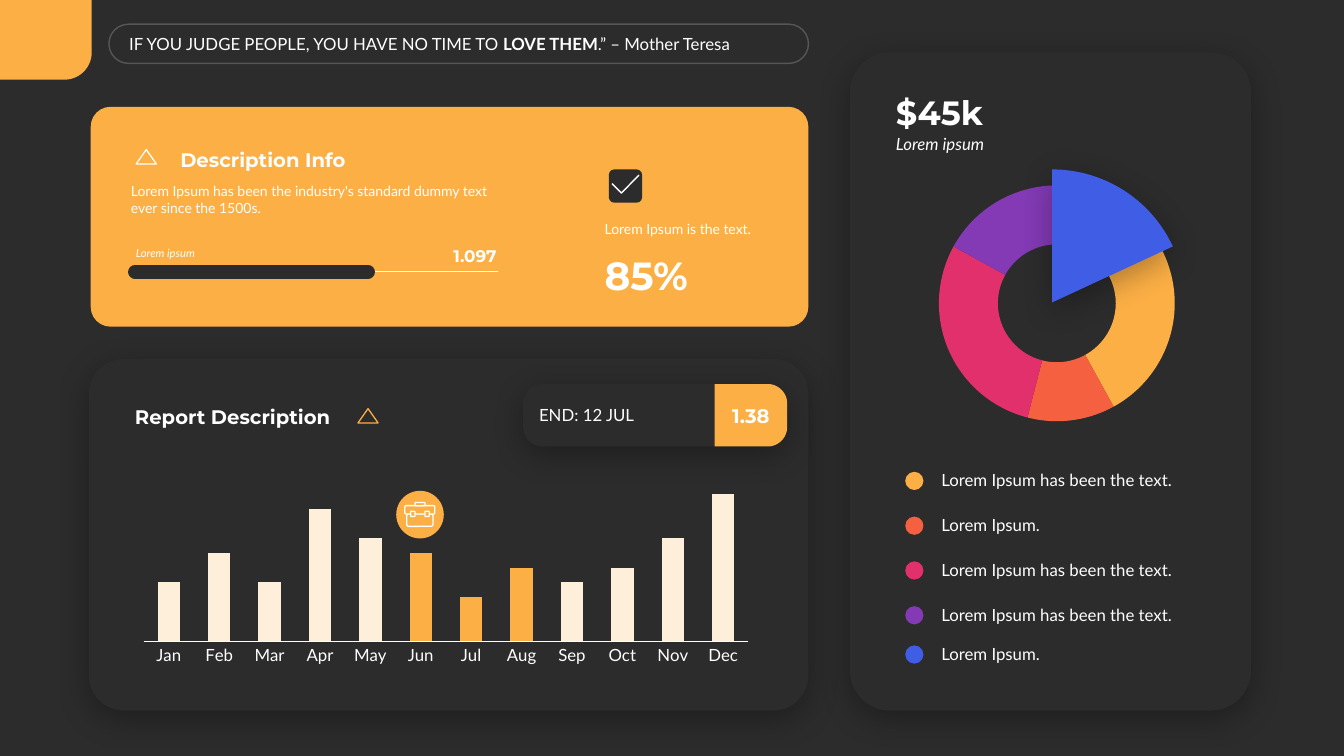
import dataclasses
import math

import pptx
import pptx.chart.data
import pptx.dml.color
import pptx.enum.chart
import pptx.enum.shapes
import pptx.enum.text
import pptx.oxml
import pptx.oxml.ns
import pptx.util

Pt = pptx.util.Pt
Shape = pptx.enum.shapes.MSO_SHAPE
Align = pptx.enum.text.PP_ALIGN
Anchor = pptx.enum.text.MSO_ANCHOR
ChartType = pptx.enum.chart.XL_CHART_TYPE


@dataclasses.dataclass(frozen=True)
class Theme:
    """Colours, fonts and type sizes of the dashboard."""
    dark: str = "2C2C2C"
    white: str = "FFFFFF"
    cream: str = "FEEFDA"
    amber: str = "FCAF45"
    coral: str = "F56040"
    pink: str = "E1306C"
    purple: str = "833AB4"
    blue: str = "405DE6"
    body: str = "Lato"
    display: str = "Montserrat"
    caption: int = 8
    small: int = 10
    normal: int = 12
    heading: int = 14
    money: int = 24
    percent: int = 28


THEME = Theme()


def rgb(colour):
    """Turn a hex string into a colour."""
    return pptx.dml.color.RGBColor.from_string(colour)


def apply_format(target, values):
    """Set each attribute named in values."""
    for name, value in values.items():
        setattr(target, name, value)


def append_xml(parent, markup):
    """Append a drawing element to a parent element."""
    parent.append(pptx.oxml.parse_xml(markup.replace(" ", f" {pptx.oxml.ns.nsdecls('a', 'c')} ", 1)))


def paint(shape, fill=None, line=None, width=1, shadow=False):
    """Give a shape its fill, outline and soft shadow."""
    shape.shadow.inherit = False
    if fill:
        shape.fill.solid()
        shape.fill.fore_color.rgb = rgb(fill)
    else:
        shape.fill.background()
    if line:
        shape.line.color.rgb = rgb(line)
        shape.line.width = Pt(width)
    else:
        shape.line.fill.background()
    if shadow:
        effects = shape._element.spPr.find(pptx.oxml.ns.qn("a:effectLst"))
        append_xml(effects, f'<a:outerShdw blurRad="{Pt(23)}" dist="{Pt(6)}" dir="5400000" algn="t" '
                            'rotWithShape="0"><a:srgbClr val="000000"><a:alpha val="30000"/>'
                            '</a:srgbClr></a:outerShdw>')
    return shape


def add_preset(page, kind, box, adjust=(), **style):
    """Add a preset shape with its adjustments and paint."""
    shape = page.shapes.add_shape(kind, *map(Pt, box))
    for index, value in enumerate(adjust):
        shape.adjustments[index] = value
    return paint(shape, **style)


def add_outline(page, points, closed=True, **style):
    """Add a freeform through the given points."""
    start, *rest = [(Pt(x), Pt(y)) for x, y in points]
    builder = page.shapes.build_freeform(*start, scale=1.0)
    builder.add_line_segments(rest, close=closed)
    return paint(builder.convert_to_shape(), **style)


def add_tab(page, box, top_radius, bottom_radius, fill):
    """Add a block whose right-hand corners are rounded."""
    left, top, width, height = box
    right, bottom = left + width, top + height
    points = [(left, top)]
    for radius, centre_y, start in ((top_radius, top + top_radius, -90),
                                    (bottom_radius, bottom - bottom_radius, 0)):
        for angle in map(math.radians, range(start, start + 91, 6)):
            points.append((right - radius + radius * math.cos(angle),
                           centre_y + radius * math.sin(angle)))
    return add_outline(page, points + [(left, bottom)], fill=fill)


def fill_text(box, spans, size, font=THEME.body, align=Align.LEFT, anchor=Anchor.MIDDLE,
              side=7.2, **style):
    """Write spans of (text, bold) into one paragraph of a box."""
    frame = box.text_frame
    apply_format(frame, {"word_wrap": True, "auto_size": pptx.enum.text.MSO_AUTO_SIZE.NONE,
                         "vertical_anchor": anchor, "margin_left": Pt(side), "margin_right": Pt(side),
                         "margin_top": Pt(3.6), "margin_bottom": Pt(3.6)})
    para = frame.paragraphs[0]
    para.alignment = align
    for text, bold in spans:
        span = para.add_run()
        span.text = text
        apply_format(span.font, {"name": font, "size": Pt(size), "bold": bold, **style})
        span.font.color.rgb = rgb(THEME.white)


def add_text(page, box, text, size, bold=False, **style):
    """Add a text box; bold text uses the display font."""
    font = THEME.display if bold else THEME.body
    fill_text(page.shapes.add_textbox(*map(Pt, box)), [(text, bold)], size, font, **style)


def add_bar(page, left, right, y, colour, width):
    """Add a horizontal line with round ends."""
    line = page.shapes.add_connector(pptx.enum.shapes.MSO_CONNECTOR.STRAIGHT,
                                     Pt(left), Pt(y), Pt(right), Pt(y))
    line.line.color.rgb = rgb(colour)
    line.line.width = Pt(width)
    line.line._get_or_add_ln().set("cap", "rnd")
    append_xml(line._element.spPr, "<a:effectLst />")


def add_plot(page, kind, box, categories, values, colours, inner):
    """Add a one-series chart with a colour for each point."""
    chart_data = pptx.chart.data.CategoryChartData()
    chart_data.categories = categories
    chart_data.add_series("Series 1", values)
    chart = page.shapes.add_chart(kind, *map(Pt, box), chart_data).chart
    apply_format(chart, {"has_legend": False, "has_title": False})
    apply_format(chart.font, {"name": THEME.body, "size": Pt(THEME.normal)})
    chart.font.color.rgb = rgb(THEME.white)
    for index, colour in enumerate(colours):
        point = chart.plots[0].series[0].points[index].format
        point.fill.solid()
        point.fill.fore_color.rgb = rgb(colour)
        point.line.fill.background()
    area = chart._chartSpace.chart.plotArea
    for old in area.findall(pptx.oxml.ns.qn("c:layout")):
        area.remove(old)
    sizes = "".join(f'<c:{name} val="{value}"/>' for name, value in zip("xywh", inner))
    append_xml(area, '<c:layout ><c:manualLayout><c:layoutTarget val="inner"/><c:xMode val="edge"/>'
                     f'<c:yMode val="edge"/>{sizes}</c:manualLayout></c:layout>')
    area.insert(0, area[-1])
    return chart


def add_triangle(page, left, top, colour):
    """Add a small outlined triangle."""
    add_preset(page, Shape.ISOSCELES_TRIANGLE, (left, top, 14.4, 10.2), line=colour, width=0.9)


def add_briefcase(page):
    """Add the briefcase badge over the June column."""
    add_preset(page, Shape.OVAL, (283, 350.6, 34, 34), fill=THEME.amber)
    for box in ((290.5, 367, 18.8, 9), (289.2, 361.2, 21.4, 6), (296.4, 359, 7.2, 2.2),
                (293.4, 365.2, 3, 3.8), (303.6, 365.2, 3, 3.8)):
        add_preset(page, Shape.ROUNDED_RECTANGLE, box, fill=THEME.amber, line=THEME.white, width=0.9)


def add_info_card(page):
    """Add the amber card with progress and percentage."""
    add_preset(page, Shape.ROUNDED_RECTANGLE, (64.8, 76.3, 512.6, 157), (0.09,), fill=THEME.amber)
    add_preset(page, Shape.ROUNDED_RECTANGLE, (434.9, 121, 23.8, 23.8), fill=THEME.dark)
    add_outline(page, [(437.2, 131.2), (443.9, 137.9), (456.4, 125.1)], False, line=THEME.white)
    add_text(page, (424.8, 153.4, 135.4, 19.4), "Lorem Ipsum is the text.", THEME.small, anchor=Anchor.BOTTOM)
    add_text(page, (424.8, 175.7, 135.4, 41), "85%", THEME.percent, True, anchor=Anchor.TOP)
    add_bar(page, 96.5, 355.7, 194.2, THEME.white, 0.5)
    add_bar(page, 96.5, 262.8, 194.2, THEME.dark, 10)
    add_text(page, (90, 172, 138, 17.3), "Lorem ipsum", THEME.caption, anchor=Anchor.BOTTOM, italic=True)
    add_text(page, (311, 172, 46.8, 21.6), "1.097", THEME.normal, True,
             align=Align.RIGHT, anchor=Anchor.BOTTOM, side=3)
    add_text(page, (121.7, 101.5, 251.3, 24.5), "Description Info", THEME.heading, True, anchor=Anchor.BOTTOM)
    add_triangle(page, 97.3, 106.9, THEME.white)
    add_text(page, (86.4, 126.7, 286.6, 31.7), "Lorem Ipsum has been the industry's standard dummy text "
             "ever since the 1500s.", THEME.small, anchor=Anchor.TOP)


def add_report_card(page):
    """Add the monthly report card with its column chart."""
    add_preset(page, Shape.ROUNDED_RECTANGLE, (63.4, 256.3, 514, 251.3), (0.1,), fill=THEME.dark, shadow=True)
    add_preset(page, Shape.ROUNDED_RECTANGLE, (373.7, 274.3, 188, 44.6), (0.31,), fill=THEME.dark, shadow=True)
    add_text(page, (378, 285.8, 136.8, 21.6), "END: 12 JUL", THEME.normal)
    add_tab(page, (510.5, 274.3, 51.8, 44.6), 13.9, 13.9, THEME.amber)
    add_text(page, (510.5, 284.4, 51.8, 24.5), "1.38", THEME.heading, True, align=Align.CENTER, side=3)
    add_text(page, (89.3, 285.1, 253.4, 24.5), "Report Description", THEME.heading, True)
    months = "Jan Feb Mar Apr May Jun Jul Aug Sep Oct Nov Dec".split()
    colours = [THEME.amber if month in ("Jun", "Jul", "Aug") else THEME.cream for month in months]
    chart = add_plot(page, ChartType.COLUMN_CLUSTERED, (93.6, 329, 450, 148.3), months,
                     (40, 60, 40, 90, 70, 60, 30, 50, 40, 50, 70, 100), colours, (0.02, 0.02, 0.96, 0.85))
    apply_format(chart.plots[0], {"gap_width": 125, "overlap": -27, "vary_by_categories": False})
    apply_format(chart.value_axis, {"visible": False, "has_major_gridlines": False,
                                    "minimum_scale": 0, "maximum_scale": 120})
    chart.category_axis.major_tick_mark = pptx.enum.chart.XL_TICK_MARK.NONE
    chart.category_axis.format.line.color.rgb = rgb(THEME.white)
    chart.category_axis.format.line.width = Pt(0.75)
    add_triangle(page, 255.7, 291.9, THEME.amber)
    add_briefcase(page)


def add_share_card(page):
    """Add the card with the doughnut and its key."""
    add_preset(page, Shape.ROUNDED_RECTANGLE, (607, 37.4, 286.6, 470.2), (0.1,), fill=THEME.dark, shadow=True)
    add_text(page, (632.9, 92.2, 239, 21.6), "Lorem ipsum", THEME.normal, anchor=Anchor.TOP, italic=True)
    add_text(page, (632.9, 62, 239, 36), "$45k", THEME.money, True, anchor=Anchor.BOTTOM)
    colours = (THEME.amber, THEME.coral, THEME.pink, THEME.purple)
    add_plot(page, ChartType.DOUGHNUT, (637.9, 123.1, 234, 187.2), "1234", (42, 12, 29, 17),
             colours, (0.14, 0.05, 0.72, 0.9)).font.size = Pt(THEME.small)
    add_preset(page, Shape.ARC, (656.6, 121, 190, 190), (162, 201.05), fill=THEME.blue, shadow=True)
    long, short = "Lorem Ipsum has been the text.", "Lorem Ipsum."
    for top, colour, label in zip((337, 369, 401, 433, 461), (*colours, THEME.blue),
                                  (long, short, long, long, short)):
        add_preset(page, Shape.OVAL, (646.6, top, 13, 13), fill=colour)
        add_text(page, (665.3, top - 4.8, 196.6, 21.6), label, THEME.normal)


def main():
    """Build the dashboard slide."""
    deck = pptx.Presentation()
    apply_format(deck, {"slide_width": Pt(960), "slide_height": Pt(540)})
    page = deck.slides.add_slide(deck.slide_layouts[5])
    page.background.fill.solid()
    page.background.fill.fore_color.rgb = rgb(THEME.dark)
    title = page.shapes.title
    apply_format(title, dict(zip(("left", "top", "width", "height"), map(Pt, (89.3, 20.2, 471.6, 21.6)))))
    fill_text(title, [("IF YOU JUDGE PEOPLE, YOU HAVE NO TIME TO ", False), ("LOVE THEM", True),
                      (".” – Mother Teresa", False)], THEME.normal, side=3)
    pill = add_preset(page, Shape.ROUNDED_RECTANGLE, (77.8, 17.3, 499.7, 28), (0.5,), line=THEME.white)
    append_xml(pill.line._get_or_add_ln().find(".//" + pptx.oxml.ns.qn("a:srgbClr")), '<a:alpha val="20000"/>')
    add_tab(page, (0, 0, 65.5, 56.9), 0, 19.4, THEME.amber)
    add_info_card(page)
    add_report_card(page)
    add_share_card(page)
    deck.save("out.pptx")


if __name__ == "__main__":
    main()
